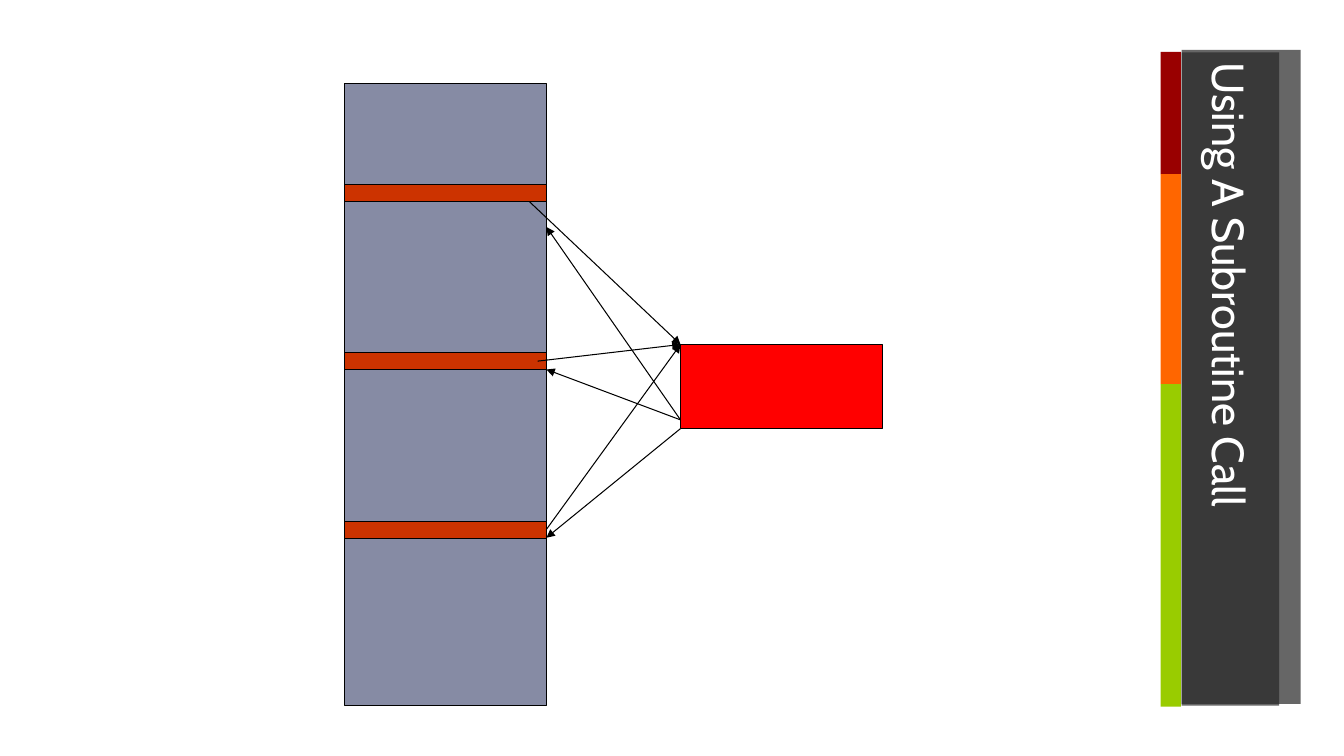
from typing import NamedTuple

from lxml import etree
from pptx import Presentation
from pptx.dml.color import RGBColor
from pptx.enum.shapes import MSO_CONNECTOR, MSO_SHAPE
from pptx.enum.text import MSO_ANCHOR, PP_ALIGN
from pptx.oxml.ns import qn
from pptx.util import Cm, Pt

RECTANGLE = MSO_SHAPE.RECTANGLE
STRAIGHT = MSO_CONNECTOR.STRAIGHT
MIDDLE = MSO_ANCHOR.MIDDLE
LEFT = PP_ALIGN.LEFT

BLACK = RGBColor(0x00, 0x00, 0x00)
WHITE = RGBColor(0xFF, 0xFF, 0xFF)
CHARCOAL = RGBColor(0x26, 0x26, 0x26)
DARK_RED = RGBColor(0x99, 0x00, 0x00)
ORANGE = RGBColor(0xFF, 0x66, 0x00)
GREEN = RGBColor(0x99, 0xCC, 0x00)
SLATE = RGBColor(0x86, 0x8B, 0xA4)
RED = RGBColor(0xFF, 0x00, 0x00)
BRICK = RGBColor(0xCC, 0x33, 0x00)

FONT = "Cabin"
LINE_WIDTH = Pt(0.75)


class Block(NamedTuple):
    """A filled rectangle, in centimetres."""
    left: float
    top: float
    width: float
    height: float
    fill: RGBColor
    outlined: bool = True
    opacity: int = 100


class Jump(NamedTuple):
    """An arrow from one point to another, in centimetres."""
    x1: float
    y1: float
    x2: float
    y2: float


def draw_block(slide, block: Block):
    shape = slide.shapes.add_shape(
        RECTANGLE, Cm(block.left), Cm(block.top), Cm(block.width), Cm(block.height))
    shape.shadow.inherit = False
    shape.fill.solid()
    shape.fill.fore_color.rgb = block.fill
    if block.opacity < 100:
        color = shape.element.spPr.find(qn("a:solidFill"))[0]
        etree.SubElement(color, qn("a:alpha"), val=str(block.opacity * 1000))
    if block.outlined:
        shape.line.color.rgb = BLACK
        shape.line.width = LINE_WIDTH
    else:
        shape.line.fill.background()
    return shape


def draw_jump(slide, jump: Jump) -> None:
    arrow = slide.shapes.add_connector(
        STRAIGHT, Cm(jump.x1), Cm(jump.y1), Cm(jump.x2), Cm(jump.y2))
    arrow.line.color.rgb = BLACK
    arrow.line.width = LINE_WIDTH
    properties = arrow.element.spPr
    etree.SubElement(properties.find(qn("a:ln")), qn("a:tailEnd"), type="triangle")
    etree.SubElement(properties, qn("a:effectLst"))


def write_text(shape, text: str, *, size: float, color: RGBColor,
               font: str = FONT, direction: str = "horz") -> None:
    frame = shape.text_frame
    frame.word_wrap = True
    frame.vertical_anchor = MIDDLE
    shape.element.txBody.find(qn("a:bodyPr")).set("vert", direction)
    paragraph = frame.paragraphs[0]
    paragraph.alignment = LEFT
    run = paragraph.add_run()
    run.text = text
    run.font.name = font
    run.font.size = Pt(size)
    run.font.color.rgb = color


# Main program column, with three evenly spaced calls
PROGRAM = Block(8.69, 2.11, 5.08, 15.67, SLATE)
PROGRAM_RIGHT = PROGRAM.left + PROGRAM.width
CALL_TOP, CALL_PITCH, CALL_HEIGHT, CALL_COUNT = 4.65, 4.24, 0.43, 3
CALLS = [PROGRAM._replace(top=CALL_TOP + i * CALL_PITCH, height=CALL_HEIGHT, fill=BRICK)
         for i in range(CALL_COUNT)]

# Subroutine, with its entry and exit points
SUBROUTINE = Block(17.15, 8.68, 5.08, 2.12, RED)
ENTRY = (SUBROUTINE.left, SUBROUTINE.top)
EXIT = (SUBROUTINE.left, 10.58)
LAST_EXIT = (SUBROUTINE.left, SUBROUTINE.top + SUBROUTINE.height)

# Each call jumps to the entry, and the exit returns below the call
JUMPS = [
    Jump(13.34, 5.08, *ENTRY),
    Jump(*EXIT, PROGRAM_RIGHT, 5.72),
    Jump(13.55, 9.1, *ENTRY),
    Jump(*EXIT, PROGRAM_RIGHT, 9.31),
    Jump(PROGRAM_RIGHT, 13.34, *ENTRY),
    Jump(*LAST_EXIT, PROGRAM_RIGHT, 13.55),
]

# Title rail and its coloured edge
RAIL = Block(29.78, 1.26, 3, 16.48, CHARCOAL, outlined=False, opacity=70)
TITLE = RAIL._replace(top=1.32, width=2.46, height=16.46)
EDGE_LEFT, EDGE_TOP, EDGE_WIDTH = 29.25, 1.31, 0.51
EDGE_BANDS = [(3.08, DARK_RED), (5.29, ORANGE), (8.13, GREEN)]


def main() -> None:
    presentation = Presentation()
    presentation.slide_width = Cm(33.87)
    presentation.slide_height = Cm(19.05)
    slide = presentation.slides.add_slide(presentation.slide_layouts[6])

    draw_block(slide, RAIL)
    band_top = EDGE_TOP
    for height, color in EDGE_BANDS:
        draw_block(slide, Block(EDGE_LEFT, band_top, EDGE_WIDTH, height, color, outlined=False))
        band_top += height

    for block in (PROGRAM, SUBROUTINE, *CALLS):
        draw_block(slide, block)
    for jump in JUMPS:
        draw_jump(slide, jump)

    title = draw_block(slide, TITLE)
    write_text(title, "Using A Subroutine Call", size=32, color=WHITE, direction="eaVert")

    presentation.save("out.pptx")


if __name__ == "__main__":
    main()
